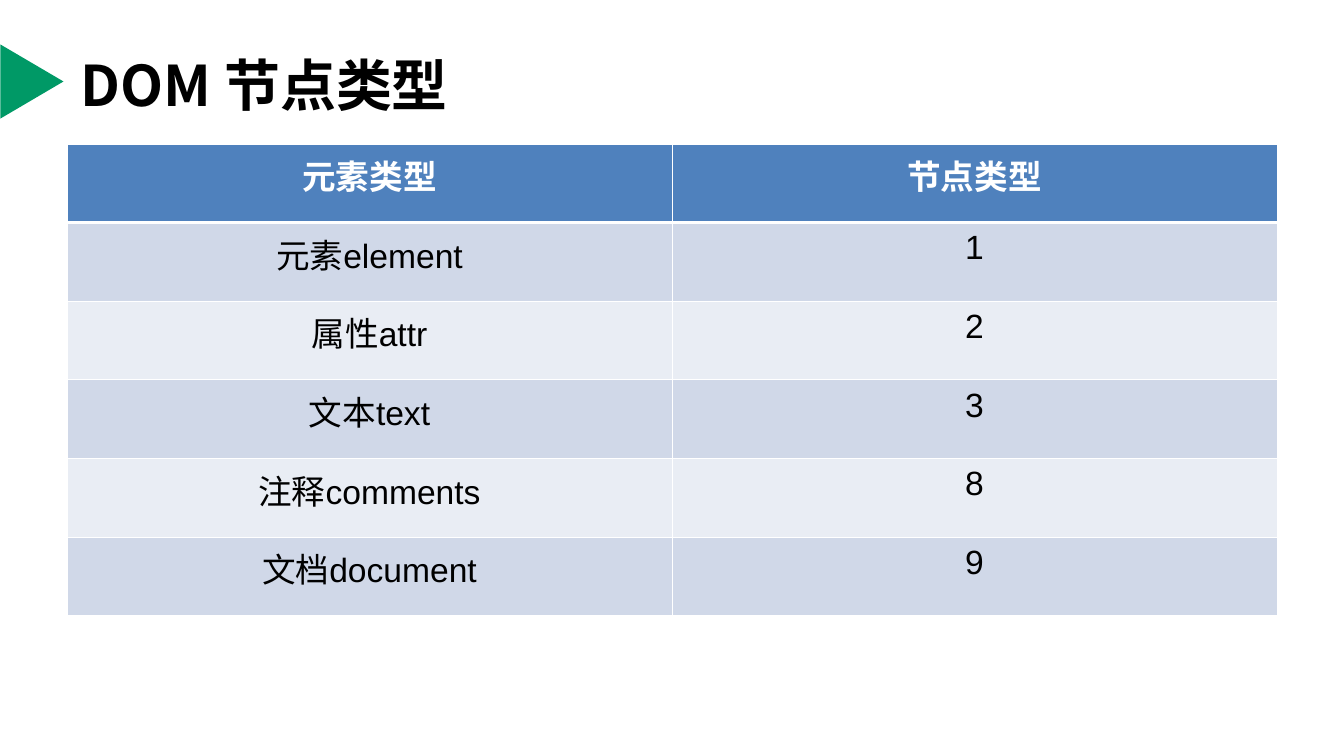
from lxml import etree
from pptx import Presentation
from pptx.dml.color import RGBColor
from pptx.enum import shapes, text
from pptx.oxml import ns
from pptx.util import Pt

# Content
TITLE = "DOM 节点类型"
ROWS = [
    ("元素类型", "节点类型"),
    ("元素element", "1"),
    ("属性attr", "2"),
    ("文本text", "3"),
    ("注释comments", "8"),
    ("文档document", "9"),
]

# Look
GREEN = RGBColor(0x00, 0x99, 0x66)
BLUE = RGBColor(0x4F, 0x81, 0xBD)
BANDS = [RGBColor(0xE9, 0xED, 0xF4), RGBColor(0xD0, 0xD8, 0xE8)]
WHITE = RGBColor(0xFF, 0xFF, 0xFF)
BLACK = RGBColor(0x00, 0x00, 0x00)
LATIN, HAN = "Arial", "Noto Sans CJK SC"
THIN, THICK = 0.45, 1.47


def px(*sizes):
    return [round(n * 914400 / 134.4) for n in sizes]


def style(par, face, size, color, bold):
    for run in par.runs:
        font = run.font
        font.name, font.size, font.bold = face, Pt(size), bold
        font.color.rgb = color
        east = etree.SubElement(run._r.get_or_add_rPr(), ns.qn("a:ea"))
        east.set("typeface", HAN)


def border(cell, top, bottom):
    props = cell._tc.get_or_add_tcPr()
    sides = [("L", THIN), ("R", THIN), ("T", top), ("B", bottom)]
    for pos, (side, width) in enumerate(sides):
        line = etree.Element(ns.qn("a:ln" + side), w=str(Pt(width)))
        fill = etree.SubElement(line, ns.qn("a:solidFill"))
        etree.SubElement(fill, ns.qn("a:srgbClr"), val=str(WHITE))
        props.insert(pos, line)


deck = Presentation()
deck.slide_width, deck.slide_height = px(1344, 756)
slide = deck.slides.add_slide(deck.slide_layouts[5])

# Title
title = slide.shapes.title
title.left, title.top, title.width, title.height = px(67, 47, 1210, 78)
frame = title.text_frame
frame.text = TITLE
frame.vertical_anchor = text.MSO_ANCHOR.BOTTOM
head = frame.paragraphs[0]
head.alignment = text.PP_ALIGN.LEFT
head.line_spacing = 0.9
style(head, HAN, 30, BLACK, True)

# Green marker at the left edge
mark = slide.shapes.add_shape(
    shapes.MSO_SHAPE.ISOSCELES_TRIANGLE, *px(-5, 50, 74, 63))
mark.rotation = 90
mark.shadow.inherit = False
mark.fill.solid()
mark.fill.fore_color.rgb = GREEN
mark.line.fill.background()

# Table with a header row and banded body rows
table = slide.shapes.add_table(
    len(ROWS), len(ROWS[0]), *px(67, 144, 1210, 472)).table
for r, row in enumerate(ROWS):
    for c, words in enumerate(row):
        cell = table.cell(r, c)
        cell.text = words
        cell.fill.solid()
        cell.fill.fore_color.rgb = BANDS[r % 2] if r else BLUE
        border(cell, THICK if r == 1 else THIN, THIN if r else THICK)
        par = cell.text_frame.paragraphs[0]
        par.alignment = text.PP_ALIGN.CENTER
        style(par, LATIN, 18, BLACK if r else WHITE, r == 0)

deck.save("out.pptx")
